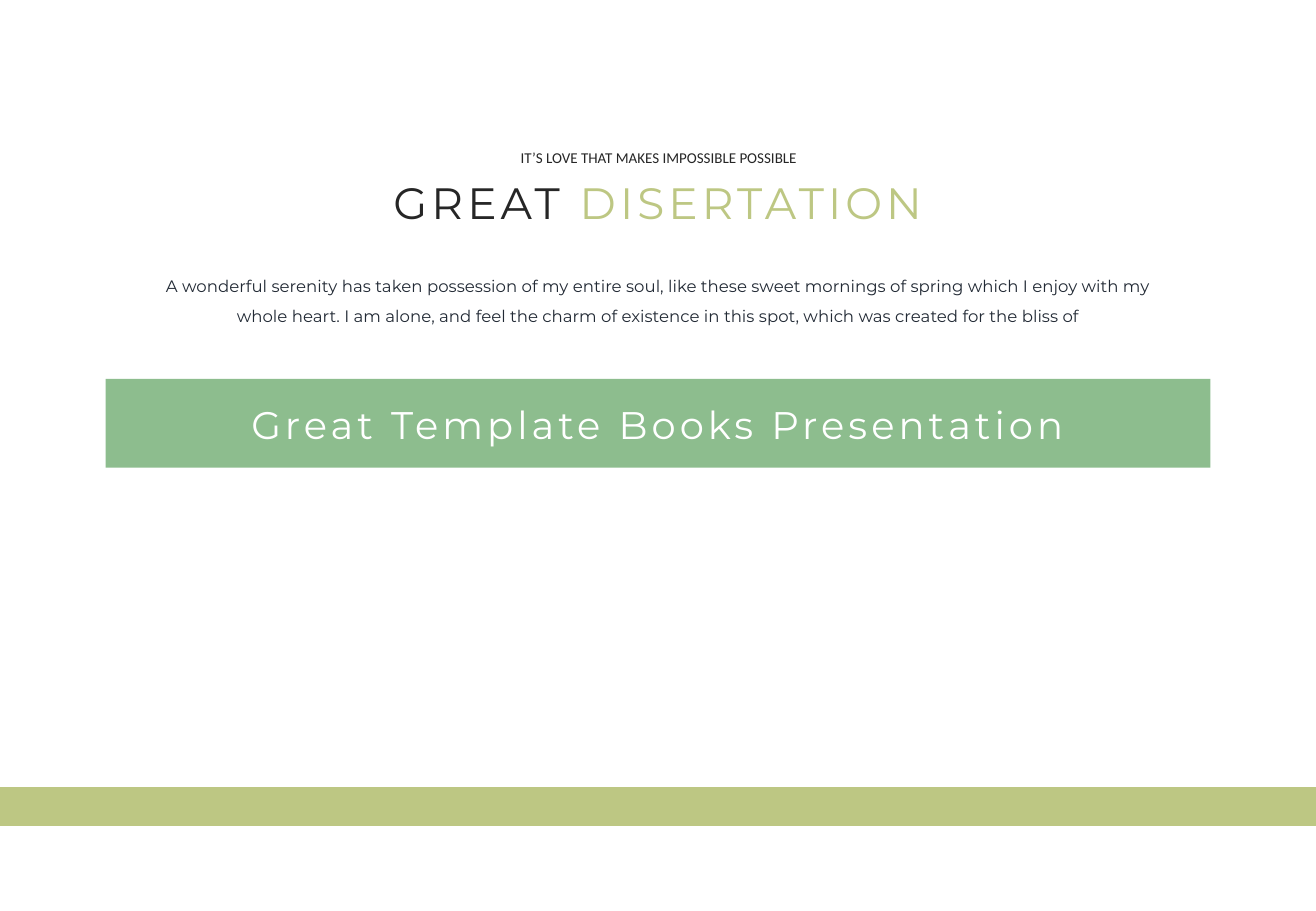
from dataclasses import dataclass

from pptx import Presentation
from pptx.dml.color import RGBColor
from pptx.enum.shapes import MSO_SHAPE
from pptx.enum.text import MSO_ANCHOR, MSO_AUTO_SIZE, PP_ALIGN
from pptx.shapes.autoshape import Shape
from pptx.slide import Slide
from pptx.util import Pt

SLIDE_WIDTH, SLIDE_HEIGHT = 779.76, 540
OLIVE, GREEN, DARK, NAVY, WHITE = "BDC783", "8DBD8E", "262626", "222A35", "FFFFFF"


@dataclass(frozen=True)
class Box:
    left: float
    top: float
    width: float
    height: float


@dataclass(frozen=True)
class Band:
    box: Box
    color: str


@dataclass(frozen=True)
class TextBlock:
    box: Box
    runs: tuple[tuple[str, str], ...]  # text and colour
    size: float
    font: str = "Montserrat"
    letter_spacing: float = 0
    line_spacing: float = 1.0
    wrap: bool = True


BANDS = (
    Band(Box(0, 466.56, SLIDE_WIDTH, 23.04), OLIVE),
    Band(Box(62.64, 224.64, 654.48, 52.56), GREEN),
)
TITLE = TextBlock(Box(219.6, 100.8, 340.56, 38.88),
                  (("GREAT ", DARK), ("DISERTATION", OLIVE)), 26, letter_spacing=2.4)
TEXT_BLOCKS = (
    TextBlock(Box(299.52, 84.24, 181.44, 18),
              (("IT’S LOVE THAT MAKES IMPOSSIBLE POSSIBLE", DARK),),
              8.9, font="Calibri", wrap=False),
    TextBlock(Box(83.52, 234, 612.72, 34.56),
              (("Great Template Books Presentation", WHITE),), 22.8, letter_spacing=2.4),
    TextBlock(Box(83.52, 154.08, 612.72, 40.32),
              (("A wonderful serenity has taken possession of my entire soul, like these "
                "sweet mornings of spring which I enjoy with my whole heart. I am alone, and "
                "feel the charm of existence in this spot, which was created for the bliss of",
                NAVY),), 9.8, line_spacing=1.5),
)


def rgb(color: str) -> RGBColor:
    return RGBColor.from_string(color)


def lengths(box: Box) -> tuple[Pt, Pt, Pt, Pt]:
    return Pt(box.left), Pt(box.top), Pt(box.width), Pt(box.height)


def add_band(slide: Slide, band: Band) -> None:
    shape = slide.shapes.add_shape(MSO_SHAPE.RECTANGLE, *lengths(band.box))
    shape.shadow.inherit = False
    shape.fill.solid()
    shape.fill.fore_color.rgb = rgb(band.color)
    shape.line.fill.background()


def write_text(shape: Shape, block: TextBlock) -> None:
    shape.left, shape.top, shape.width, shape.height = lengths(block.box)
    frame = shape.text_frame
    frame_format = {
        "word_wrap": block.wrap,
        "auto_size": MSO_AUTO_SIZE.SHAPE_TO_FIT_TEXT,
        "vertical_anchor": MSO_ANCHOR.TOP,
    }
    for name, value in frame_format.items():
        setattr(frame, name, value)

    paragraph = frame.paragraphs[0]
    paragraph.alignment = PP_ALIGN.CENTER
    paragraph.line_spacing = block.line_spacing
    for text, color in block.runs:
        run = paragraph.add_run()
        run.text = text
        for name, value in {"name": block.font, "size": Pt(block.size)}.items():
            setattr(run.font, name, value)
        run.font.color.rgb = rgb(color)
        if block.letter_spacing:
            run._r.get_or_add_rPr().set("spc", str(round(block.letter_spacing * 100)))


def main() -> None:
    presentation = Presentation()
    presentation.slide_width = Pt(SLIDE_WIDTH)
    presentation.slide_height = Pt(SLIDE_HEIGHT)
    slide = presentation.slides.add_slide(presentation.slide_layouts.get_by_name("Title Only"))

    for band in BANDS:
        add_band(slide, band)
    write_text(slide.shapes.title, TITLE)
    for block in TEXT_BLOCKS:
        write_text(slide.shapes.add_textbox(*lengths(block.box)), block)

    presentation.save("out.pptx")


if __name__ == "__main__":
    main()
